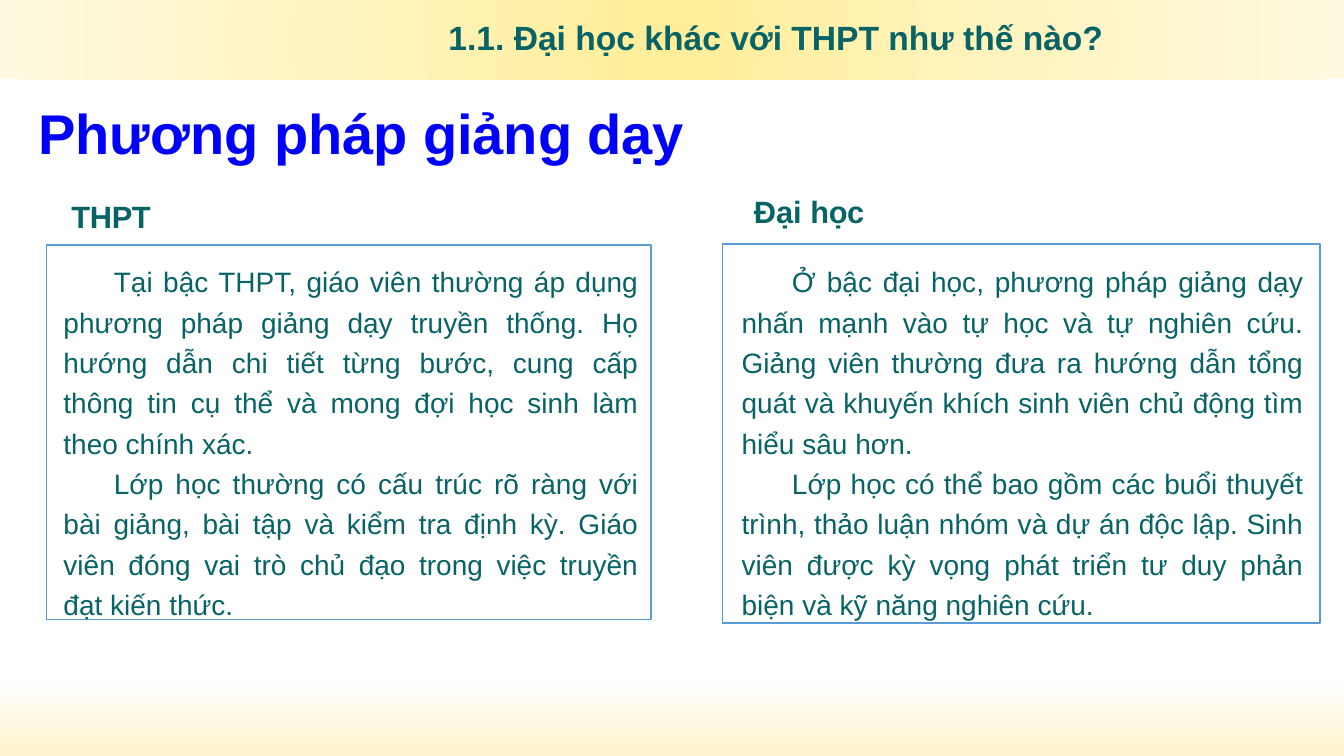
from pptx import Presentation
from pptx.dml.color import RGBColor
from pptx.enum.shapes import MSO_SHAPE
from pptx.enum.text import MSO_ANCHOR, MSO_AUTO_SIZE, PP_ALIGN
from pptx.oxml import parse_xml
from pptx.oxml.ns import nsdecls, qn
from pptx.util import Cm, Pt

COLORS = {
    "teal": "076365", "blue": "0000FF", "frame": "5B9BD5",
    "white": "FFFFFF", "cream": "FFF2CC",
    "gold": "FFEE99", "pale": "FFF4BF", "light": "FFF9E0",
}

# Each column: heading, heading place, frame place, text place, paragraphs
COLUMNS = [
    (["THPT"], (1.8, 4.93, 2.11, 1.02),
     (1.17, 6.17, 15.24, 9.45), (1.35, 6.38, 14.99, 7.32),
     ["Tại bậc THPT, giáo viên thường áp dụng phương pháp giảng dạy truyền "
      "thống. Họ hướng dẫn chi tiết từng bước, cung cấp thông tin cụ thể và "
      "mong đợi học sinh làm theo chính xác.",
      "Lớp học thường có cấu trúc rõ ràng với bài giảng, bài tập và kiểm tra "
      "định kỳ. Giáo viên đóng vai trò chủ đạo trong việc truyền đạt kiến thức."]),
    (["Đại ", "học"], (19, 4.8, 2.87, 1.02),
     (18.21, 6.15, 15.06, 9.55), (18.44, 6.38, 14.66, 9.4),
     ["Ở bậc đại học, phương pháp giảng dạy nhấn mạnh vào tự học và tự nghiên "
      "cứu. Giảng viên thường đưa ra hướng dẫn tổng quát và khuyến khích sinh "
      "viên chủ động tìm hiểu sâu hơn.",
      "Lớp học có thể bao gồm các buổi thuyết trình, thảo luận nhóm và dự án "
      "độc lập. Sinh viên được kỳ vọng phát triển tư duy phản biện và kỹ năng "
      "nghiên cứu."]),
]


def color(name):
    return RGBColor.from_string(COLORS[name])


def style(run, size, name, bold=False):
    font = run.font
    font.name, font.size, font.bold = "Arial", Pt(size), bold
    font.color.rgb = color(name)


def add_rect(slide, place):
    rect = slide.shapes.add_shape(MSO_SHAPE.RECTANGLE, *map(Cm, place))
    rect.shadow.inherit = False
    return rect


def paint_back(slide):
    fill = slide.background.fill
    fill.gradient()
    fill.gradient_angle = 270
    for stop, spot, name in zip(fill.gradient_stops, (0.9, 1), ("white", "cream")):
        stop.position = spot
        stop.color.rgb = color(name)


def add_band(slide):
    band = add_rect(slide, (0, 0, 33.87, 2))
    band.line.fill.background()
    band.fill.gradient()
    stops = "".join(
        f'<a:gs pos="{spot}"><a:srgbClr val="{COLORS[name]}"/></a:gs>'
        for spot, name in ((0, "gold"), (50000, "pale"), (100000, "light")))
    glow = parse_xml(
        f'<a:gradFill {nsdecls("a")}><a:gsLst>{stops}</a:gsLst><a:path path="circle">'
        '<a:fillToRect l="50000" t="50000" r="50000" b="50000"/></a:path></a:gradFill>')
    props = band.element.spPr
    props.replace(props.find(qn("a:gradFill")), glow)
    # Send the band behind the title
    slide.shapes._spTree.insert(2, band.element)


def set_title(slide, text):
    title = slide.shapes.title
    title.left, title.top, title.width, title.height = map(Cm, (6.6, 0.23, 25.91, 1.55))
    frame = title.text_frame
    frame.text = text
    frame.auto_size = MSO_AUTO_SIZE.NONE
    frame.vertical_anchor = MSO_ANCHOR.MIDDLE
    para = frame.paragraphs[0]
    para.alignment, para.line_spacing = PP_ALIGN.CENTER, 0.9
    style(para.runs[0], 24, "teal", True)


def add_head(slide, parts, place, size, name):
    frame = slide.shapes.add_textbox(*map(Cm, place)).text_frame
    frame.word_wrap = True
    frame.auto_size = MSO_AUTO_SIZE.SHAPE_TO_FIT_TEXT
    frame.margin_left = frame.margin_right = frame.margin_bottom = 0
    frame.margin_top = Cm(0.05)
    para = frame.paragraphs[0]
    for part in parts:
        run = para.add_run()
        run.text = part
        style(run, size, name, True)
    # Tighten the last run
    run.font._element.set("spc", "-20")


def add_body(slide, texts, place):
    frame = slide.shapes.add_textbox(*map(Cm, place)).text_frame
    frame.word_wrap = True
    frame.text = "\n".join(texts)
    for para in frame.paragraphs:
        para.alignment, para.line_spacing = PP_ALIGN.JUSTIFY, 1.2
        para._p.get_or_add_pPr().set("indent", str(Cm(1.27)))
        style(para.runs[0], 20, "teal")


def add_frame(slide, place):
    rect = add_rect(slide, place)
    rect.fill.background()
    rect.line.color.rgb = color("frame")
    rect.line.width = Pt(1)


def main():
    deck = Presentation()
    deck.slide_width, deck.slide_height = Cm(33.87), Cm(19.05)
    slide = deck.slides.add_slide(deck.slide_layouts[5])

    # Background, band and titles
    paint_back(slide)
    add_band(slide)
    set_title(slide, "1.1. Đại học khác với THPT như thế nào?")
    add_head(slide, ["Phương pháp giảng ", "dạy"], (0.97, 2.44, 16.61, 1.75), 40, "blue")

    # Two compared columns
    for head, spot, box, area, texts in COLUMNS:
        add_head(slide, head, spot, 22, "teal")
        add_frame(slide, box)
        add_body(slide, texts, area)

    deck.save("out.pptx")


if __name__ == "__main__":
    main()
